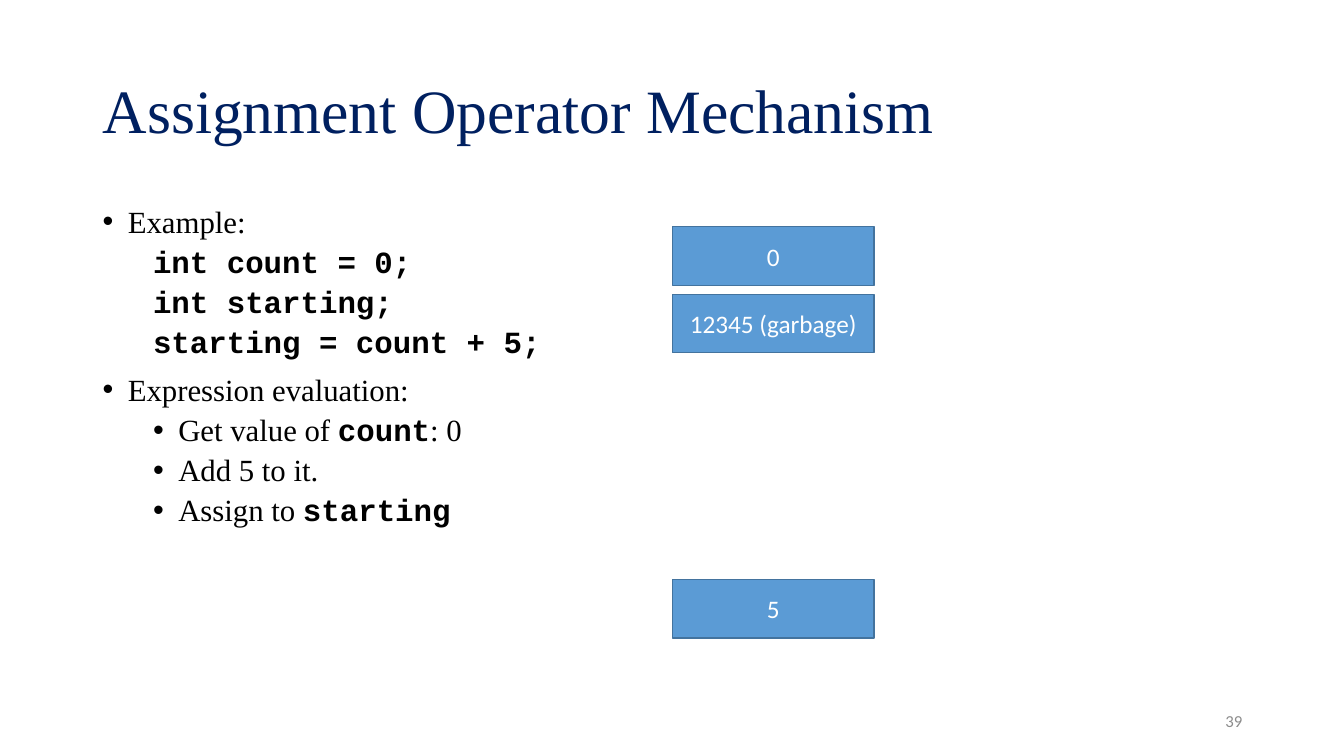
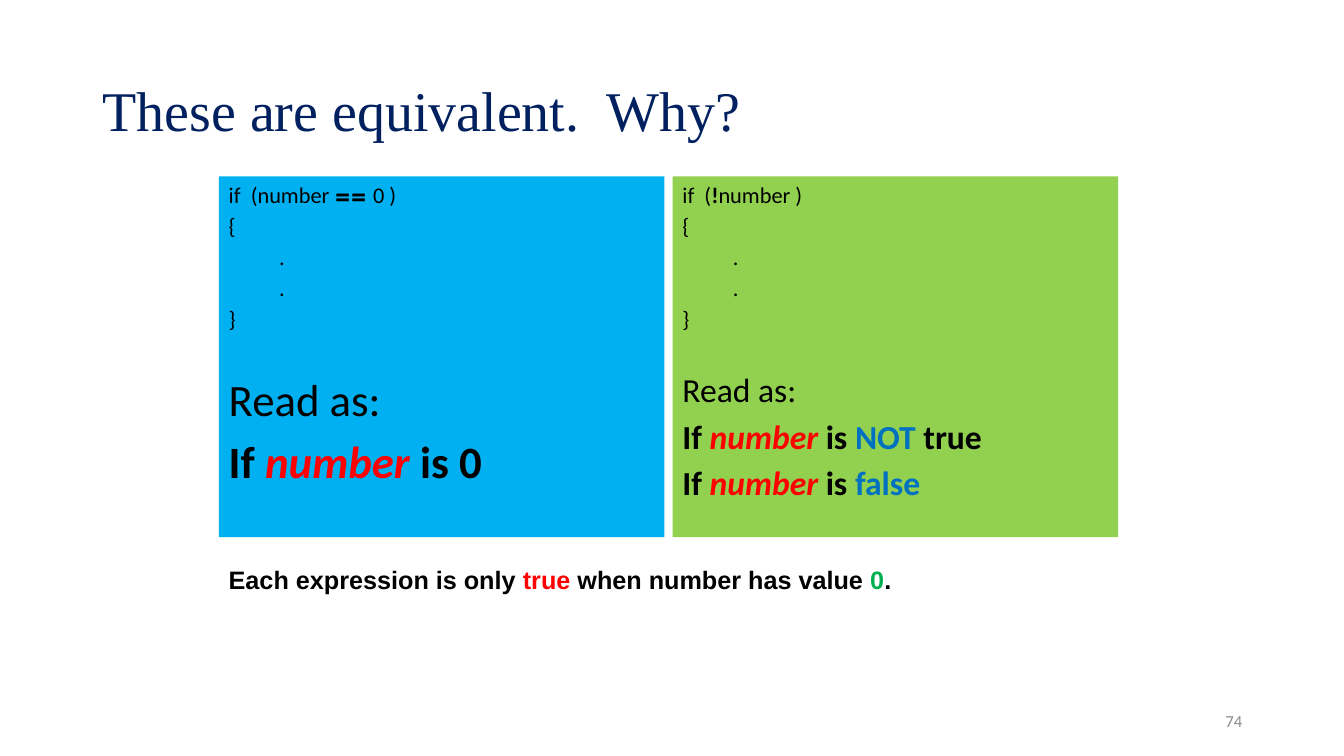
from dataclasses import dataclass
from typing import Optional

from lxml import etree
from pptx import Presentation
from pptx import util as u
from pptx.dml import color
from pptx.enum import shapes, text
from pptx.oxml import ns


@dataclass(frozen=True)
class Theme:
    navy: str = "002060"
    black: str = "000000"
    white: str = "FFFFFF"
    gray: str = "8C8C8C"
    red: str = "FF0000"
    green: str = "00B050"
    blue: str = "0070C0"
    cell: str = "5B9BD5"
    edge: str = "43739E"
    sky: str = "00B0F0"
    lime: str = "92D050"
    serif: str = "Times New Roman"
    sans: str = "Calibri"
    mono: str = "Courier New"
    plain: str = "Arial"
    round: str = "TeX Gyre Adventor"
    head: int = 44
    body: int = 22
    note: int = 18
    code: int = 16
    foot: int = 12


T = Theme()


@dataclass(frozen=True)
class Run:
    text: str
    font: str = T.sans
    tint: str = T.black
    bold: bool = False
    slant: bool = False


@dataclass(frozen=True)
class Para:
    runs: tuple[Run, ...]
    size: float
    left: float = 0
    hang: float = 0
    gap: float = 0
    lead: float = 1
    mark: bool = False
    side: text.PP_ALIGN = text.PP_ALIGN.LEFT


@dataclass(frozen=True)
class Box:
    left: float
    top: float
    wide: float
    high: float


@dataclass(frozen=True)
class Panel:
    box: Box
    fill: str
    test: tuple[Run, ...]
    size: int
    claims: tuple[tuple[Run, ...], ...]


def rgb(tint: str) -> color.RGBColor:
    return color.RGBColor.from_string(tint)


def write(frame, paras: list[Para], middle: bool = False) -> None:
    frame.word_wrap = True
    frame.vertical_anchor = text.MSO_ANCHOR.MIDDLE if middle else text.MSO_ANCHOR.TOP
    frame.text = "\n".join("" if len(p.runs) > 1 else p.runs[0].text for p in paras)
    for at, (para, item) in enumerate(zip(frame.paragraphs, paras)):
        para.alignment = item.side
        para.line_spacing = item.lead
        para.space_before = u.Pt(item.gap if at else 0)
        props = para._p.get_or_add_pPr()
        props.set("marL", str(u.Inches(item.left)))
        props.set("indent", str(u.Inches(-item.hang)))
        if item.mark:
            etree.SubElement(props, ns.qn("a:buFont")).set("typeface", T.plain)
            etree.SubElement(props, ns.qn("a:buChar")).set("char", "•")
        if len(item.runs) > 1:
            for part in item.runs:
                para.add_run().text = part.text
        for run, part in zip(para.runs, item.runs):
            font = run.font
            font.name = part.font
            font.size = u.Pt(item.size)
            font.bold = part.bold
            font.italic = part.slant
            font.color.rgb = rgb(part.tint)


def place(box: Box) -> list[u.Length]:
    return [u.Inches(x) for x in (box.left, box.top, box.wide, box.high)]


def add_text(slide, box: Box, paras: list[Para], middle: bool = False) -> None:
    write(slide.shapes.add_textbox(*place(box)).text_frame, paras, middle)


def add_rect(slide, box: Box, fill: str, paras: list[Para],
             edge: Optional[str] = None, middle: bool = False) -> None:
    rect = slide.shapes.add_shape(shapes.MSO_SHAPE.RECTANGLE, *place(box))
    rect.shadow.inherit = False
    rect.fill.solid()
    rect.fill.fore_color.rgb = rgb(fill)
    if edge:
        rect.line.color.rgb = rgb(edge)
        rect.line.width = u.Pt(1)
    else:
        rect.line.fill.background()
    write(rect.text_frame, paras, middle)


def add_page(deck, title: str, page: str, size: int = T.head):
    slide = deck.slides.add_slide(deck.slide_layouts[6])
    add_text(slide, Box(0.92, 0.4, 11.5, 1.45),
             [Para((Run(title, T.serif, T.navy),), size, lead=0.9)], True)
    add_text(slide, Box(9.42, 6.95, 3, 0.4),
             [Para((Run(page, tint=T.gray),), T.foot, side=text.PP_ALIGN.RIGHT)], True)
    return slide


def prose(words: str) -> Run:
    return Run(words, T.serif)


def code(words: str) -> Run:
    return Run(words, T.mono, bold=True)


def strong(words: str, tint: str = T.black, font: str = T.sans) -> Run:
    return Run(words, font, tint, True)


def topic(words: str) -> Para:
    return Para((prose(words),), T.body, 0.25, 0.25, 10, 0.9, True)


def detail(*runs: Run, mark: bool = True) -> Para:
    return Para(runs, T.body, 0.75, 0.25, 5, 0.9, mark)


def add_panel(slide, panel: Panel) -> None:
    def line(runs: tuple[Run, ...], size: int, deep: bool = False, more: float = 0) -> Para:
        left, hang = (0.81, 0.31) if deep else (0.38, 0.38)
        return Para(runs, size, left, hang, round(0.18 * size + more, 1))

    paras = [line(panel.test, T.code)]
    paras += [line((Run(sign),), T.code, sign == ".") for sign in "{..}"]
    paras.append(line((Run("Read as:"),), panel.size, more=1.4 * T.code))
    paras += [line(claim, panel.size) for claim in panel.claims]
    add_rect(slide, panel.box, panel.fill, paras)


def draw_assign(deck) -> None:
    slide = add_page(deck, "Assignment Operator Mechanism", "39")
    lines = ("int count = 0;", "int starting;", "starting = count + 5;")
    add_text(slide, Box(0.92, 2, 11.5, 4.76), [
        topic("Example:"),
        *(detail(code(line), mark=False) for line in lines),
        topic("Expression evaluation:"),
        detail(prose("Get value of "), code("count"), prose(": 0")),
        detail(prose("Add 5 to it.")),
        detail(prose("Assign to "), code("starting")),
    ])
    for top, value in ((2.25, "0"), (2.92, "12345 (garbage)"), (5.75, "5")):
        para = Para((Run(value, tint=T.white),), T.note, side=text.PP_ALIGN.CENTER)
        add_rect(slide, Box(6.67, top, 2, 0.58), T.cell, [para], T.edge, True)


def draw_equal(deck) -> None:
    slide = add_page(deck, "These are equivalent.  Why?", "74", 40)
    start = (strong("If "), Run("number", tint=T.red, bold=True, slant=True))
    top, wide, high = 1.75, 4.42, 3.58
    panels = (
        Panel(Box(2.17, top, wide, high), T.sky,
              (Run("if  (number "), strong("== ", font=T.round), Run("0 )")),
              32, ((*start, strong(" is 0")),)),
        Panel(Box(6.67, top, wide, high), T.lime,
              (Run("if  ("), strong("!"), Run("number )")), 24,
              ((*start, strong(" is "), strong("NOT", T.blue), strong(" true")),
               (*start, strong(" is "), strong("false", T.blue)))),
    )
    for panel in panels:
        add_panel(slide, panel)
    parts = (("Each expression is only ", T.black), ("true", T.red),
             (" when number has value ", T.black), ("0", T.green), (".", T.black))
    runs = tuple(strong(words, tint, T.plain) for words, tint in parts)
    add_text(slide, Box(2.17, 5.58, 9, 0.67),
             [Para(runs, T.note, 0.25, 0.25, lead=0.9)])


def main() -> None:
    deck = Presentation()
    deck.slide_width = u.Inches(13.33)
    deck.slide_height = u.Inches(7.5)
    draw_assign(deck)
    draw_equal(deck)
    deck.save("out.pptx")


if __name__ == "__main__":
    main()
